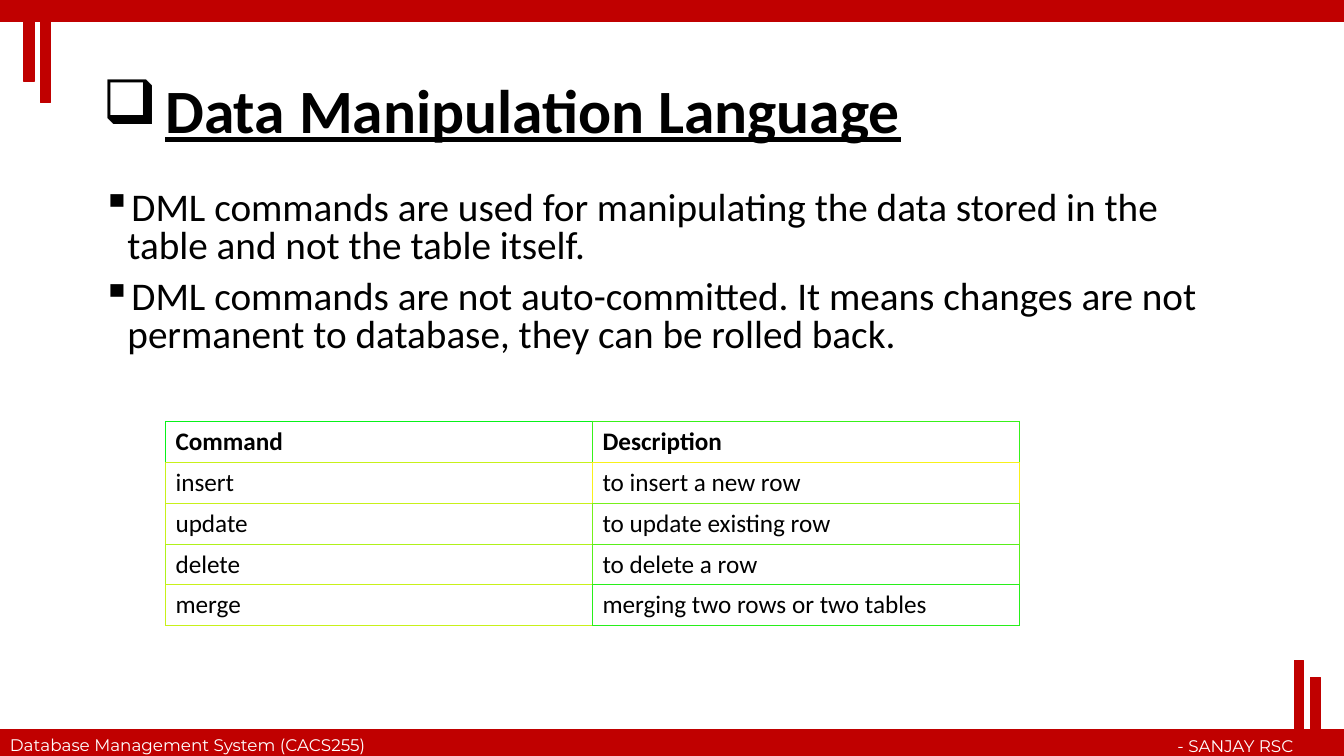
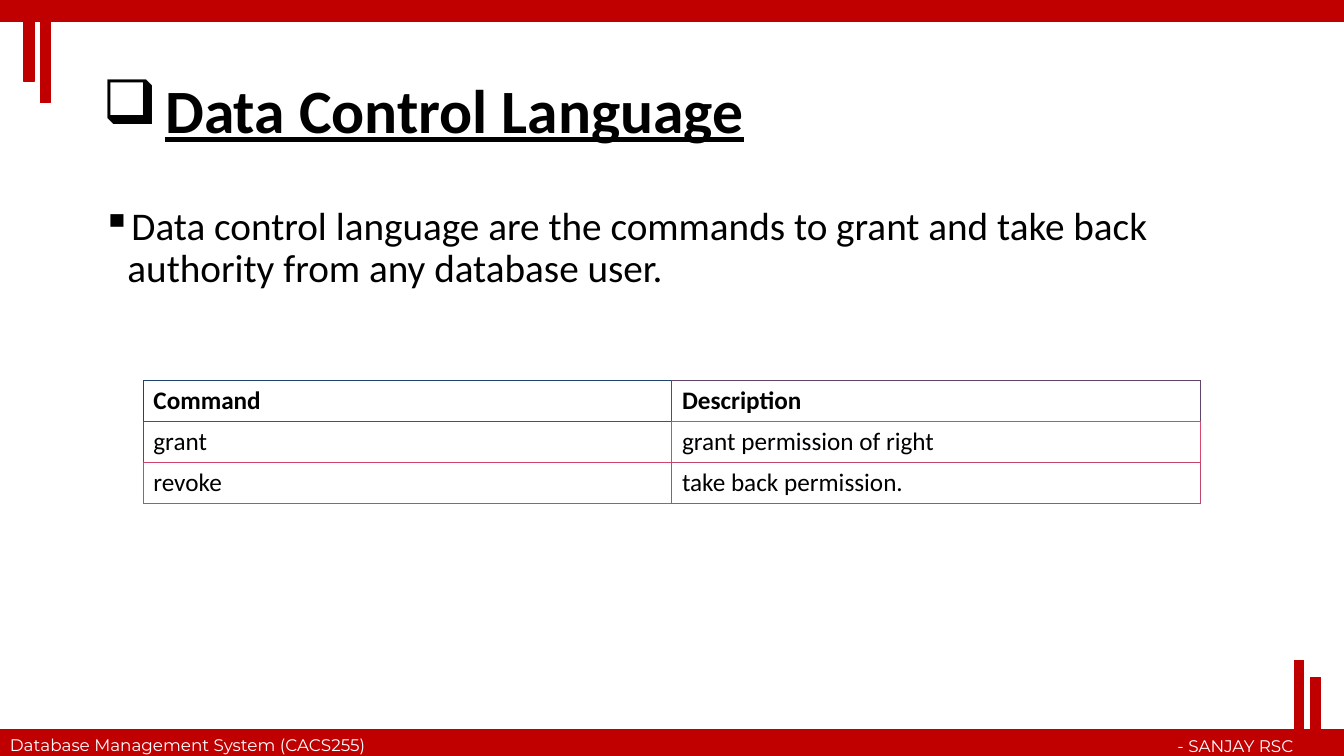
from lxml import etree
from pptx import Presentation
from pptx.dml.color import RGBColor
from pptx.enum.shapes import MSO_SHAPE
from pptx.enum.text import MSO_ANCHOR, PP_ALIGN
from pptx.oxml.ns import qn
from pptx.util import Pt

RECT = MSO_SHAPE.RECTANGLE
TOP, MIDDLE = MSO_ANCHOR.TOP, MSO_ANCHOR.MIDDLE
LEFT, RIGHT = PP_ALIGN.LEFT, PP_ALIGN.RIGHT

RED = RGBColor(0xC0, 0x00, 0x00)
BLACK = RGBColor(0x00, 0x00, 0x00)
WHITE = RGBColor(0xFF, 0xFF, 0xFF)

# Border colours, one per table row, for the left and right columns
LIME_LEFT = [RGBColor.from_string(c) for c in
             ("08F11A", "C8F11A", "C8F11A", "B0F11A", "C8F11A")]
LIME_RIGHT = [RGBColor.from_string(c) for c in
              ("38F11A", "F8F11A", "78F01A", "58EF1A", "28EF1A")]
PLUM_LEFT = [RGBColor.from_string(c) for c in ("20456C", "60446C", "D0466C")]
PLUM_RIGHT = [RGBColor.from_string(c) for c in ("60446C", "D8476C", "C0476C")]

WIDTH, HEIGHT = 960, 540
MARGIN, CONTENT_WIDTH = 66, 828
ROW_HEIGHT = 29.2

# Bands and accent bars: left, top, width, height
BARS = [
    (0, 521.3, WIDTH, 18.7),
    (0, 0, WIDTH, 15),
    (28.8, 0.7, 7.2, 72.7),
    (17.1, 2.2, 7.2, 56.2),
    (924.5, 471.6, 6.5, 67.7),
    (936, 483.8, 7.2, 56.2),
]

TITLE = {"name": "Calibri", "size": Pt(44), "bold": True, "underline": True}
BODY = {"name": "Calibri", "size": Pt(28)}
CELL = {"name": "Calibri", "size": Pt(18)}
FOOTER = {"name": "Montserrat", "size": Pt(12)}


class Deck:
    def __init__(self):
        self.prs = Presentation()
        self.prs.slide_width, self.prs.slide_height = Pt(WIDTH), Pt(HEIGHT)
        self.slide = None

    def new_slide(self, title):
        self.slide = self.prs.slides.add_slide(self.prs.slide_layouts[6])
        for box in BARS:
            self.bar(*box)
        self.text((0, 521.3, 299.5, 21.8),
                  ["Database Management System (CACS255)"], FOOTER, WHITE)
        self.text((698.4, 522, 232.6, 21.8), ["- SANJAY RSC"], FOOTER, WHITE,
                  align=RIGHT)
        self.text((MARGIN, 28.8, CONTENT_WIDTH, 104.4), [title], TITLE,
                  anchor=MIDDLE, spacing=0.9, bullet="❑", indent=45)

    def bar(self, *box):
        sp = self.slide.shapes.add_shape(RECT, *map(Pt, box))
        sp.shadow.inherit = False
        sp.fill.solid()
        sp.fill.fore_color.rgb = RED
        sp.line.color.rgb = RED
        sp.line.width = Pt(1)

    def run(self, p, text, style, color):
        r = p.add_run()
        r.text = text
        for name, value in style.items():
            setattr(r.font, name, value)
        r.font.color.rgb = color

    def text(self, box, paragraphs, style, color=BLACK, align=LEFT, anchor=TOP,
             spacing=1.0, bullet=None, indent=0):
        tf = self.slide.shapes.add_textbox(*map(Pt, box)).text_frame
        tf.word_wrap = True
        tf.vertical_anchor = anchor
        for i, text in enumerate(paragraphs):
            p = tf.add_paragraph() if i else tf.paragraphs[0]
            p.alignment = align
            p.line_spacing = spacing
            if i:
                p.space_before = Pt(10)
            if bullet:
                self.bullet(p, bullet, indent)
            self.run(p, text, style, color)

    def bullet(self, p, char, indent):
        pPr = p._p.get_or_add_pPr()
        pPr.set("marL", str(Pt(indent)))
        pPr.set("indent", str(-Pt(indent)))
        etree.SubElement(pPr, qn("a:buChar")).set("char", char)

    def body(self, top, height, paragraphs, spacing):
        self.text((MARGIN, top, CONTENT_WIDTH, height), paragraphs, BODY,
                  spacing=spacing, bullet="▪", indent=18)

    def borders(self, cell, **colors):
        tcPr = cell._tc.get_or_add_tcPr()
        for side in "LRTB":
            ln = etree.SubElement(tcPr, qn(f"a:ln{side}"), w=str(Pt(0.75)))
            fill = etree.SubElement(ln, qn("a:solidFill"))
            etree.SubElement(fill, qn("a:srgbClr"), val=str(colors[side]))

    def table(self, left, top, width, rows, left_colors, right_colors):
        frame = self.slide.shapes.add_table(
            len(rows), 2, Pt(left), Pt(top), Pt(width),
            Pt(ROW_HEIGHT * len(rows)))
        table = frame.table
        for i, texts in enumerate(rows):
            table.rows[i].height = Pt(ROW_HEIGHT)
            below = min(i + 1, len(rows) - 1)
            for j, colors in enumerate((left_colors, right_colors)):
                cell = table.cell(i, j)
                # Each border takes the colour of the cell that follows it
                self.borders(cell, L=colors[i], T=colors[i],
                             R=right_colors[i], B=colors[below])
                cell.fill.solid()
                cell.fill.fore_color.rgb = WHITE
                self.run(cell.text_frame.paragraphs[0], texts[j],
                         {**CELL, "bold": i == 0}, BLACK)


def main():
    deck = Deck()
    header = ("Command", "Description")

    # Data manipulation
    deck.new_slide("Data Manipulation Language")
    deck.body(133.2, 135.4, [
        "DML commands are used for manipulating the data stored in the table "
        "and not the table itself.",
        "DML commands are not auto-committed. It means changes are not "
        "permanent to database, they can be rolled back.",
    ], spacing=0.8)
    deck.table(118.2, 301, 610, [
        header,
        ("insert", "to insert a new row"),
        ("update", "to update existing row"),
        ("delete", "to delete a row"),
        ("merge", "merging two rows or two tables"),
    ], LIME_LEFT, LIME_RIGHT)

    # Data control
    deck.new_slide("Data Control Language")
    deck.body(144, 342.7, [
        "Data control language are the commands to grant and take back "
        "authority from any database user.",
    ], spacing=0.9)
    deck.table(102.4, 271.8, 755.2, [
        header,
        ("grant", "grant permission of right"),
        ("revoke", "take back permission."),
    ], PLUM_LEFT, PLUM_RIGHT)

    deck.prs.save("out.pptx")


if __name__ == "__main__":
    main()
